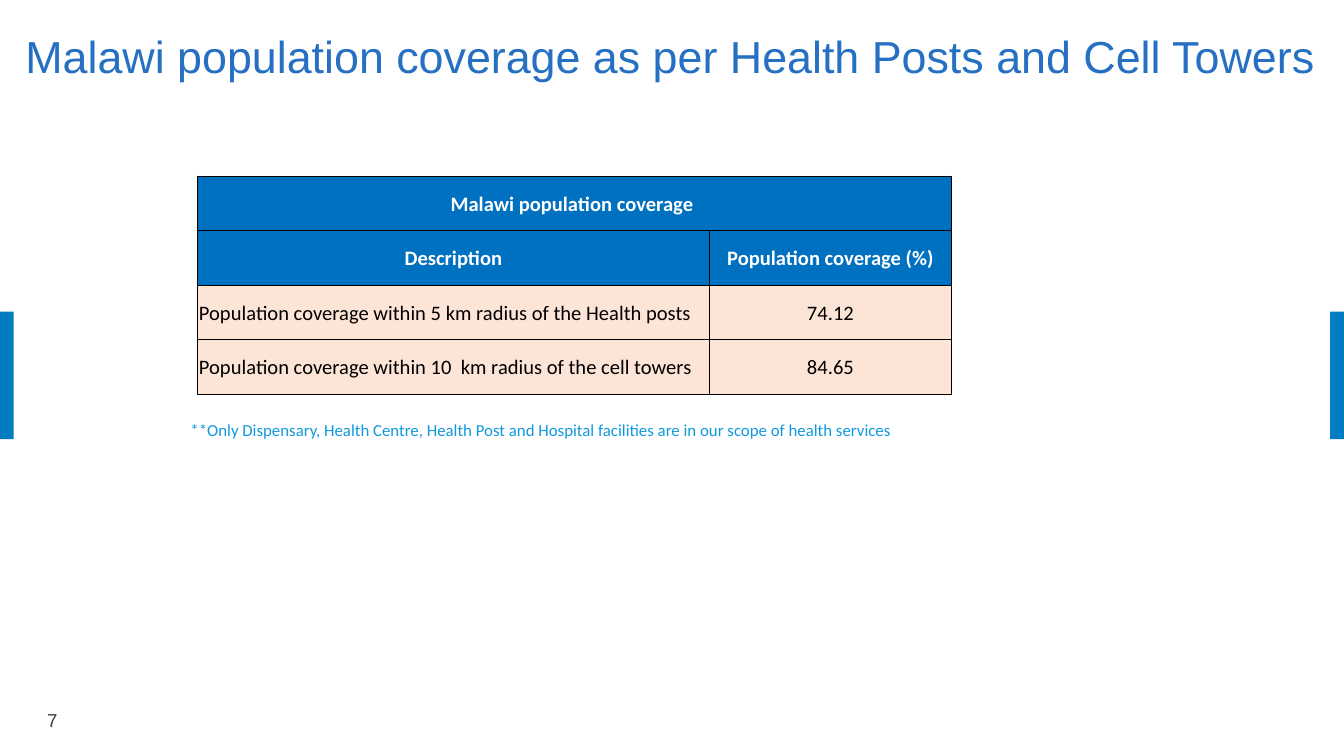
from dataclasses import dataclass

from lxml.etree import SubElement
from pptx import Presentation
from pptx.dml.color import RGBColor
from pptx.enum.shapes import MSO_SHAPE
from pptx.enum.text import MSO_ANCHOR, PP_ALIGN
from pptx.oxml.ns import qn
from pptx.slide import Slide
from pptx.table import _Cell
from pptx.text.text import _Paragraph
from pptx.util import Cm, Pt

COLORS = {
    "bar": "007CC3",
    "title": "2670C3",
    "number": "404040",
    "note": "1199DD",
    "header": "0070C0",
    "body": "FCE4D6",
    "white": "FFFFFF",
    "black": "000000",
}
COLUMN_WIDTHS = (9.68, 4.57)
ROW_HEIGHT = 1.03
HEADER_ROWS = 2
ROWS = (
    ("Malawi population coverage ", ""),
    ("Description", "Population coverage (%)"),
    ("Population coverage within 5 km radius of the Health posts", "74.12"),
    ("Population coverage within 10  km radius of the cell towers", "84.65"),
)


@dataclass(frozen=True)
class Label:
    text: str
    left: float
    top: float
    width: float
    height: float
    font: str
    size: float
    color: str


LABELS = (
    Label("Malawi population coverage as per Health Posts and Cell Towers",
          0.23, 0.41, 25.22, 1.27, "Arial", 24, "title"),
    Label("7", 0.64, 13.21, 1.3, 0.79, "Arial", 10, "number"),
    Label("**Only Dispensary, Health Centre, Health Post and Hospital facilities "
          "are in our scope of health services",
          3.35, 7.8, 14.48, 0.64, "Calibri", 9, "note"),
)


def color(name: str) -> RGBColor:
    return RGBColor.from_string(COLORS[name])


def style(para: _Paragraph, font: str, size: float, tint: str, bold: bool = False) -> None:
    for span in para.runs:
        span.font.name = font
        span.font.size = Pt(size)
        span.font.bold = bold
        span.font.color.rgb = color(tint)


def add_bar(page: Slide, left: float) -> None:
    bar = page.shapes.add_shape(MSO_SHAPE.RECTANGLE, Cm(left), Cm(5.89), Cm(0.28), Cm(2.41))
    bar.shadow.inherit = False
    bar.fill.solid()
    bar.fill.fore_color.rgb = color("bar")
    bar.line.fill.background()


def add_label(page: Slide, label: Label) -> None:
    box = page.shapes.add_textbox(
        Cm(label.left), Cm(label.top), Cm(label.width), Cm(label.height))
    frame = box.text_frame
    frame.word_wrap = True
    frame.vertical_anchor = MSO_ANCHOR.MIDDLE
    frame.text = label.text
    style(frame.paragraphs[0], label.font, label.size, label.color)


def add_borders(cell: _Cell) -> None:
    properties = cell._tc.get_or_add_tcPr()
    for index, side in enumerate(("lnL", "lnR", "lnT", "lnB")):
        line = properties.makeelement(qn(f"a:{side}"), {"w": str(Pt(0.5))})
        fill = SubElement(line, qn("a:solidFill"))
        SubElement(fill, qn("a:srgbClr"), val=COLORS["black"])
        properties.insert(index, line)


def fill_cell(cell: _Cell, text: str, header: bool, centred: bool) -> None:
    cell.fill.solid()
    cell.fill.fore_color.rgb = color("header" if header else "body")
    cell.vertical_anchor = MSO_ANCHOR.MIDDLE
    cell.margin_left = cell.margin_right = cell.margin_top = Cm(0.03)
    cell.margin_bottom = 0
    cell.text_frame.text = text
    para = cell.text_frame.paragraphs[0]
    para.alignment = PP_ALIGN.CENTER if centred else PP_ALIGN.LEFT
    style(para, "Calibri", 11, "white" if header else "black", header)
    add_borders(cell)


def add_coverage_table(page: Slide) -> None:
    table = page.shapes.add_table(
        len(ROWS), len(COLUMN_WIDTHS), Cm(3.73), Cm(3.33),
        Cm(sum(COLUMN_WIDTHS)), Cm(ROW_HEIGHT * len(ROWS))).table
    for column, width in zip(table.columns, COLUMN_WIDTHS):
        column.width = Cm(width)
    for row_index, texts in enumerate(ROWS):
        table.rows[row_index].height = Cm(ROW_HEIGHT)
        header = row_index < HEADER_ROWS
        for column_index, text in enumerate(texts):
            fill_cell(table.cell(row_index, column_index), text, header,
                      header or column_index > 0)
    table.cell(0, 0).merge(table.cell(0, 1))


def main() -> None:
    """Build the population coverage slide."""
    deck = Presentation()
    deck.slide_width, deck.slide_height = Cm(25.4), Cm(14.29)
    page = deck.slides.add_slide(deck.slide_layouts[6])
    for left in (25.14, -0.02):
        add_bar(page, left)
    add_coverage_table(page)
    for label in LABELS:
        add_label(page, label)
    deck.save("out.pptx")


if __name__ == "__main__":
    main()
